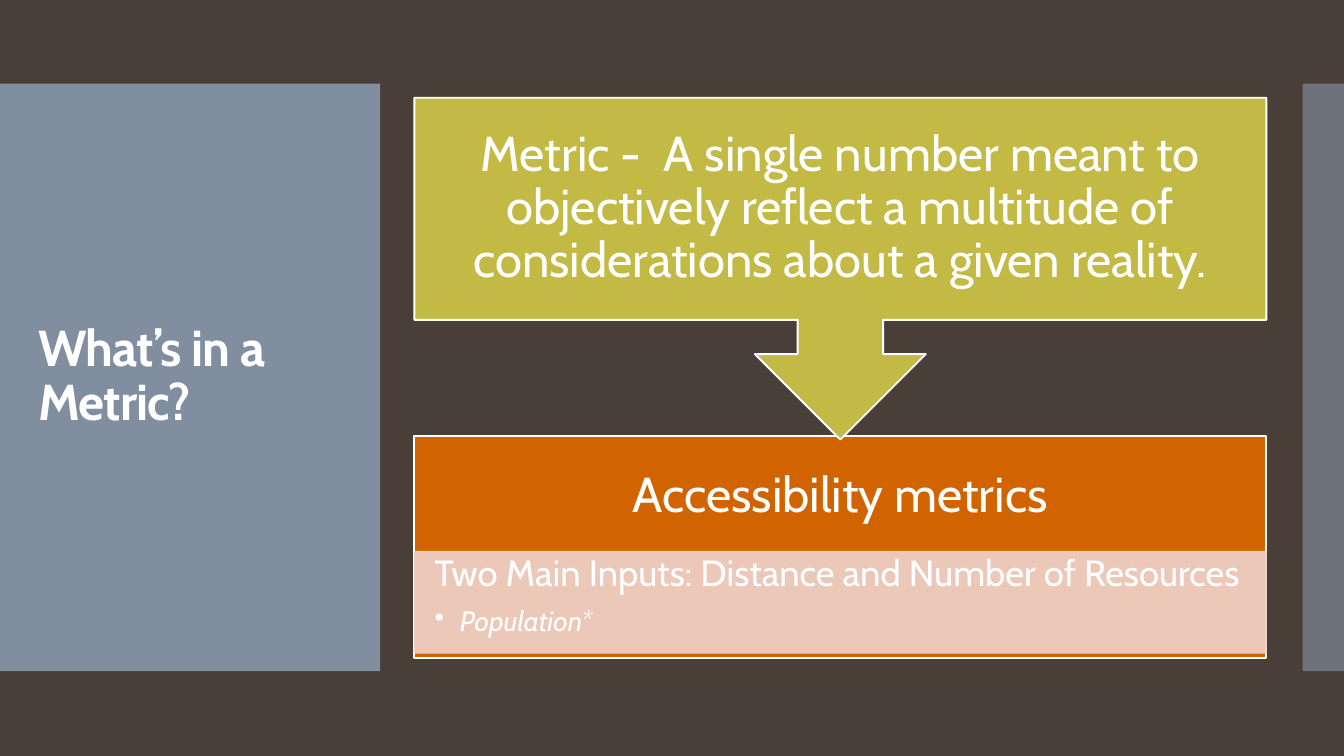
from dataclasses import dataclass

from lxml import etree
from pptx import Presentation
from pptx.dml.color import RGBColor
from pptx.enum.shapes import MSO_SHAPE
from pptx.enum.text import MSO_ANCHOR, PP_ALIGN
from pptx.oxml.ns import qn
from pptx.util import Pt

RECT = MSO_SHAPE.RECTANGLE
CALLOUT = MSO_SHAPE.DOWN_ARROW_CALLOUT
TOP, MIDDLE = MSO_ANCHOR.TOP, MSO_ANCHOR.MIDDLE
LEFT, CENTER = PP_ALIGN.LEFT, PP_ALIGN.CENTER
EMU_PER_PX = 9144  # 100 px to the inch


@dataclass(frozen=True)
class Theme:
    font: str = "Cabin"
    background: str = "4A3F38"
    panel: str = "818E9F"
    metric: str = "C3BA45"
    access: str = "D26400"
    band: str = "EED3CC"
    text: str = "FFFFFF"
    title_pt: int = 36
    heading_pt: int = 35
    input_pt: int = 26
    bullet_pt: int = 20
    border_pt: float = 1.35


THEME = Theme()


@dataclass(frozen=True)
class Block:
    left: int
    top: int
    width: int
    height: int
    fill: str | None = None
    opacity: int = 100
    line: str | None = None
    line_pt: float = THEME.border_pt
    kind: MSO_SHAPE = RECT
    insets: tuple[int, int, int, int] = (10, 5, 10, 5)  # left, top, right, bottom
    anchor: MSO_ANCHOR = MIDDLE


COLUMN_X, COLUMN_W = 411, 845
PANEL_Y, PANEL_H = 83, 583
LEFT_PANEL = Block(0, PANEL_Y, 377, PANEL_H, THEME.panel)
RIGHT_PANEL = Block(1292, PANEL_Y, 42, PANEL_H, THEME.panel, opacity=64)
TITLE = Block(28, 123, 322, 503)
ACCESS = Block(COLUMN_X, 433, COLUMN_W, 220, THEME.access, line=THEME.text,
               insets=(27, 27, 27, 128))
INPUTS = Block(COLUMN_X, 547, COLUMN_W, 101, THEME.band, opacity=90, line=THEME.band,
               line_pt=0.85, insets=(20, 4, 20, 4), anchor=TOP)
METRIC = Block(COLUMN_X, 97, COLUMN_W, 339, THEME.metric, line=THEME.text,
               kind=CALLOUT, insets=(27, 27, 27, 27))


def px(n: int) -> int:
    return n * EMU_PER_PX


def set_opacity(fill, percent: int) -> None:
    """Add an alpha value to a solid fill's colour."""
    color = fill._xPr.find(qn("a:solidFill"))[0]
    etree.SubElement(color, qn("a:alpha")).set("val", str(percent * 1000))


def add_block(slide, block: Block):
    box = [px(n) for n in (block.left, block.top, block.width, block.height)]
    sp = slide.shapes.add_shape(block.kind, *box) if block.fill else slide.shapes.add_textbox(*box)
    if block.fill:
        sp.shadow.inherit = False
        sp.fill.solid()
        sp.fill.fore_color.rgb = RGBColor.from_string(block.fill)
        if block.opacity < 100:
            set_opacity(sp.fill, block.opacity)
        if block.line:
            sp.line.color.rgb = RGBColor.from_string(block.line)
            sp.line.width = Pt(block.line_pt)
            if block.opacity < 100:
                set_opacity(sp.line.fill, block.opacity)
        else:
            sp.line.fill.background()
    tf = sp.text_frame
    tf.word_wrap = True
    tf.vertical_anchor = block.anchor
    tf.margin_left, tf.margin_top, tf.margin_right, tf.margin_bottom = map(px, block.insets)
    return tf


def write(p, text: str, *, size: int, align: PP_ALIGN = LEFT, bold: bool = False,
          italic: bool = False, spacing: int = 0, after: int = 0, bullet: bool = False) -> None:
    """Fill a paragraph; spacing is in hundredths of a point."""
    p.alignment = align
    p.line_spacing = 0.9
    p.space_after = Pt(after)
    if bullet:
        p.level = 1
        pPr = p._p.get_or_add_pPr()
        pPr.set("marL", str(px(25)))
        pPr.set("indent", str(-px(25)))
        etree.SubElement(pPr, qn("a:buChar")).set("char", "•")
    r = p.add_run()
    r.text = text
    r.font.name = THEME.font
    r.font.size = Pt(size)
    r.font.bold = bold
    r.font.italic = italic
    r.font.color.rgb = RGBColor.from_string(THEME.text)
    if spacing:
        r.font._element.set("spc", str(spacing))


def main() -> None:
    prs = Presentation()
    prs.slide_width, prs.slide_height = px(1333), px(750)
    slide = prs.slides.add_slide(prs.slide_layouts[6])
    slide.background.fill.solid()
    slide.background.fill.fore_color.rgb = RGBColor.from_string(THEME.background)

    for panel in (LEFT_PANEL, RIGHT_PANEL):
        add_block(slide, panel)

    title = add_block(slide, TITLE)
    write(title.paragraphs[0], "What’s in a Metric?", size=THEME.title_pt, bold=True, spacing=-60)

    access = add_block(slide, ACCESS)
    write(access.paragraphs[0], "Accessibility metrics", size=THEME.heading_pt, align=CENTER)

    inputs = add_block(slide, INPUTS)
    write(inputs.paragraphs[0], "Two Main Inputs: Distance and Number of Resources",
          size=THEME.input_pt, after=9)
    write(inputs.add_paragraph(), "Population*", size=THEME.bullet_pt, italic=True, bullet=True)

    metric = add_block(slide, METRIC)
    write(metric.paragraphs[0],
          "Metric -  A single number meant to objectively reflect a multitude of "
          "considerations about a given reality.",
          size=THEME.heading_pt, align=CENTER)

    prs.save("out.pptx")


if __name__ == "__main__":
    main()
